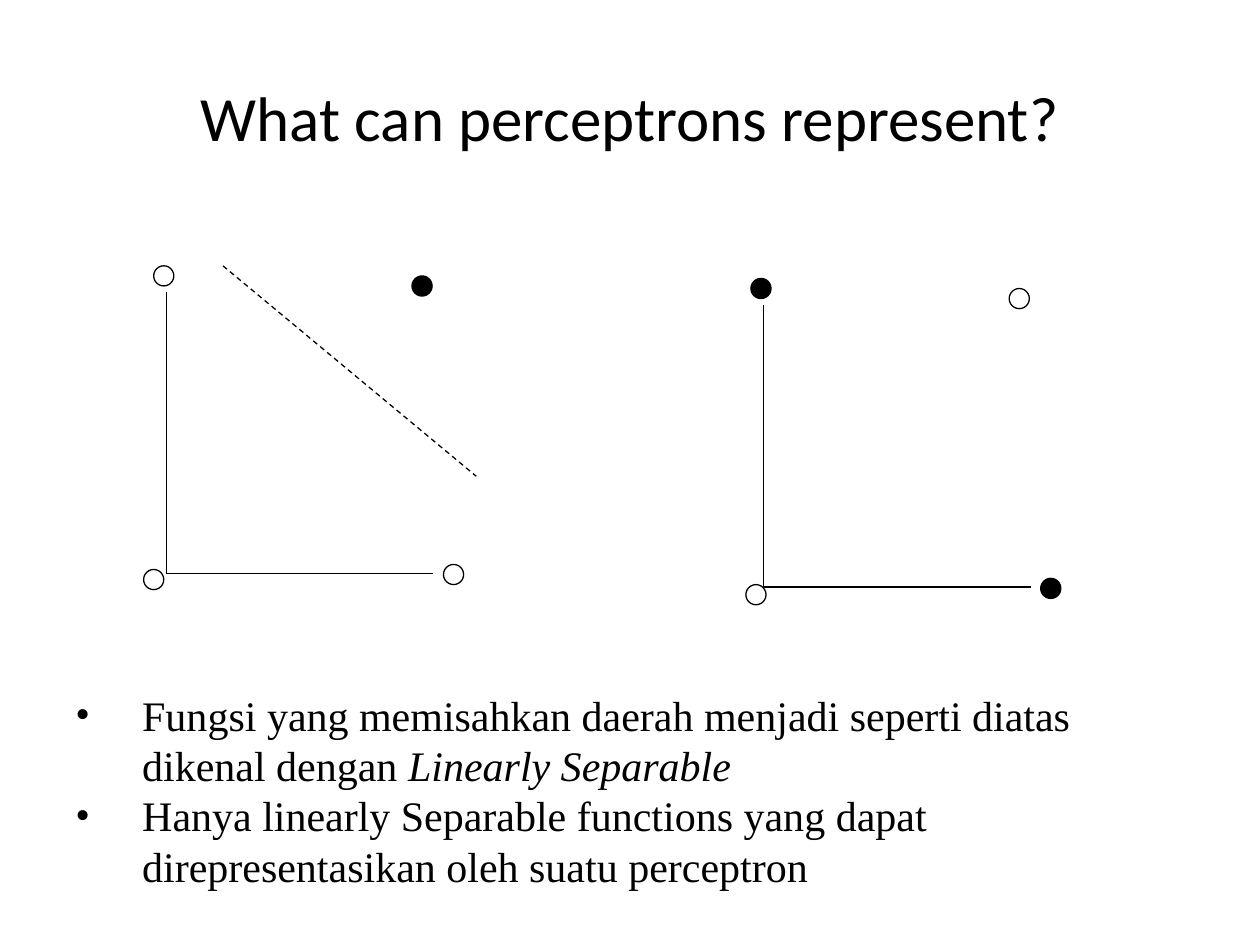
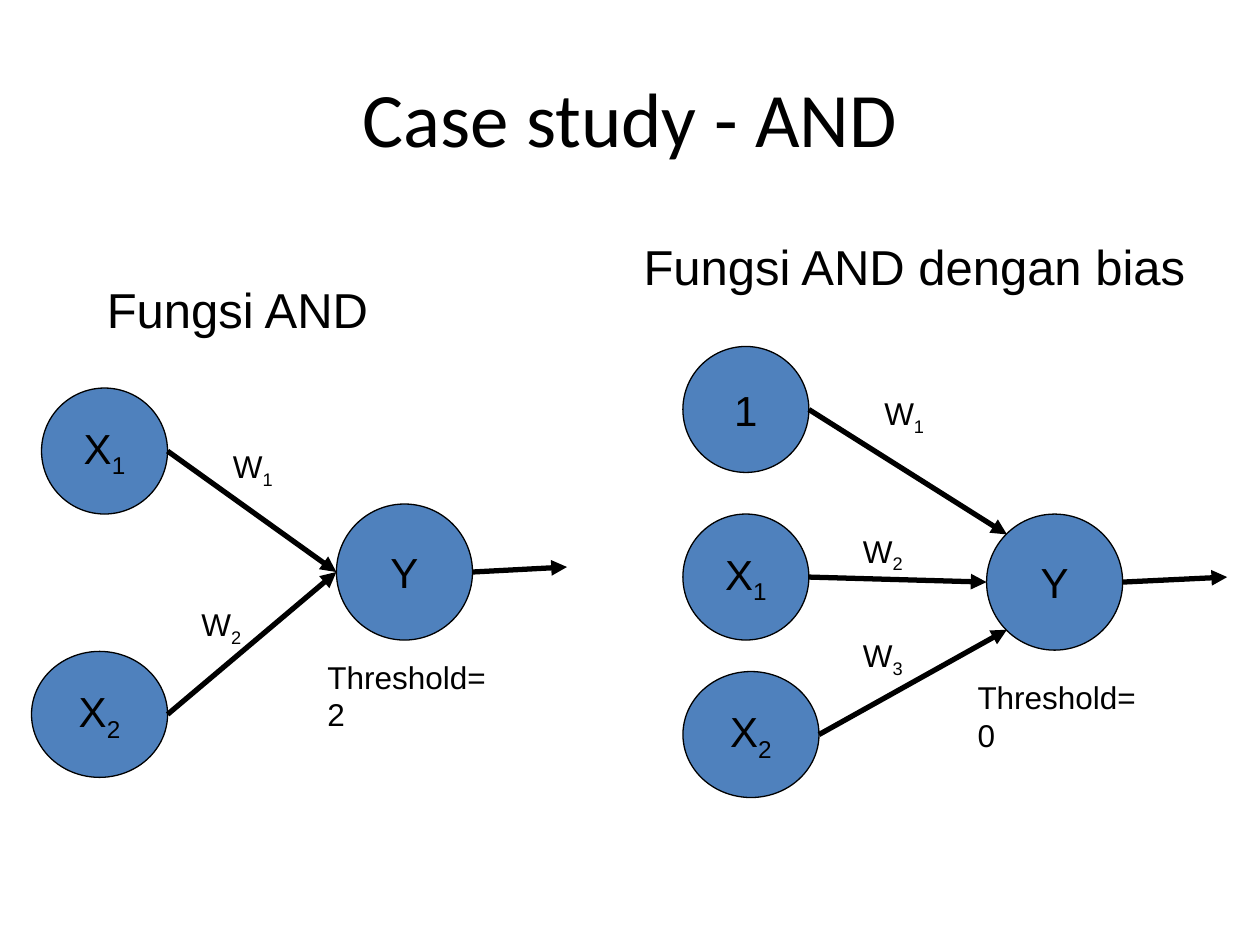
from dataclasses import dataclass

from lxml import etree
from pptx import Presentation
from pptx import util as u
from pptx.dml import color
from pptx.enum import dml, shapes, text
from pptx.oxml import ns

PX = 9144  # one px is a hundredth of an inch


@dataclass(frozen=True)
class Theme:
    ink = color.RGBColor.from_string("000000")
    paper = color.RGBColor.from_string("FFFFFF")
    blue = color.RGBColor.from_string("4F81BD")
    sans = "Arial"
    serif = "Times New Roman"
    head = "Calibri"
    thin = 0.75
    thick = 3
    big = 44
    title = 36
    sub = 28
    body = 24
    note = 18


T = Theme()
MID, HIGH, LOW = (0, 0.5), (0.15, 0.15), (0.15, 0.85)  # entry points on a node


def px(*nums):
    return [u.Emu(round(n * PX)) for n in nums]


def tag(parent, name, **attrs):
    return etree.SubElement(parent, ns.qn(name), **attrs)


def write(par, words, size, font, mark=None):
    """Fill a paragraph; each "_" or "*" switches subscript or italic on and off."""
    for i, part in enumerate(words.split(mark) if mark else [words]):
        if not part:
            continue
        run = par.add_run()
        run.text = part
        run.font.size = u.Pt(size)
        run.font.name = font
        run.font.color.rgb = T.ink
        if i % 2 and mark == "_":
            run.font._element.set("baseline", "-25000")
        elif i % 2:
            run.font.italic = True


def label(slide, box, words, size, font=T.sans, wrap=False):
    frame = slide.shapes.add_textbox(*px(*box)).text_frame
    frame.word_wrap = wrap
    write(frame.paragraphs[0], words, size, font, "_")
    return frame


def title(slide, words, size):
    frame = label(slide, (50, 30, 900, 125), words, size, T.head, True)
    frame.vertical_anchor = text.MSO_ANCHOR.MIDDLE
    frame.paragraphs[0].alignment = text.PP_ALIGN.CENTER


def disc(slide, box, fill):
    shape = slide.shapes.add_shape(shapes.MSO_SHAPE.OVAL, *px(*box))
    shape.shadow.inherit = False
    shape.fill.solid()
    shape.fill.fore_color.rgb = fill
    shape.line.color.rgb = T.ink
    shape.line.width = u.Pt(T.thin)
    return shape


def line(slide, start, end, width=T.thin):
    link = slide.shapes.add_connector(
        shapes.MSO_CONNECTOR.STRAIGHT, *px(*start, *end))
    link.line.color.rgb = T.ink
    link.line.width = u.Pt(width)
    tag(link._element.spPr, "a:effectLst")
    return link


def arrow(slide, start, end):
    link = line(slide, start, end, T.thick)
    tag(link.line._get_or_add_ln(), "a:tailEnd", type="triangle")


def plot(slide, box, zero, fills):
    """Two axes and the four truth-table points; zero places the (0,0) dot."""
    x, y, w, h = box
    line(slide, (x, y), (x, y + h))
    line(slide, (x + w, y + h), (x, y + h))
    spots = [(-10, -21), (w - 17, -13), (w + 8, h - 7), zero]
    for (dx, dy), fill in zip(spots, fills):
        disc(slide, (x + dx, y + dy, 16, 16), fill)


def bullets(slide, box, items):
    frame = slide.shapes.add_textbox(*px(*box)).text_frame
    frame.word_wrap = True
    for i, item in enumerate(items):
        par = frame.add_paragraph() if i else frame.paragraphs[0]
        props = par._p.get_or_add_pPr()
        props.set("marL", str(53 * PX))
        props.set("indent", str(-53 * PX))
        tag(tag(props, "a:buClr"), "a:srgbClr", val=str(T.ink))
        tag(props, "a:buFont", typeface=T.serif)
        tag(props, "a:buChar", char="•")
        write(par, item, T.body, T.serif, "*")


def node(slide, box, words):
    frame = disc(slide, box, T.blue).text_frame
    frame.word_wrap = False
    frame.vertical_anchor = text.MSO_ANCHOR.MIDDLE
    frame.paragraphs[0].alignment = text.PP_ALIGN.CENTER
    write(frame.paragraphs[0], words, T.body, T.sans, "_")


def net(slide, box, head, inputs, out, reach, limit):
    """A perceptron; inputs hold name, place, width, entry, weight and its place."""
    x, y = box
    dx, w, words = head
    label(slide, (x + dx, y, w, 57), words, T.sub)
    size = 108
    ox, oy = x + out[0], y + out[1]
    for name, (nx, ny), wide, (fx, fy), weight, (wx, wy) in inputs:
        node(slide, (x + nx, y + ny, wide, 100), name)
        arrow(slide, (x + nx + wide, y + ny + 50),
              (ox + fx * size, oy + fy * size))
        label(slide, (x + wx, y + wy, 67, 44), weight, T.note, wrap=True)
    node(slide, (ox, oy, size, size), "Y")
    arrow(slide, (ox + size, oy + 54), (ox + size + reach, oy + 50))
    drop, words = limit
    label(slide, (ox - 17, oy + drop, 159, 40), words, T.note)


def limits(slide):
    title(slide, "What can perceptrons represent?", T.title)
    off, on = T.paper, T.ink
    plot(slide, (132, 232, 212, 223), (-18, 220), (off, on, off, off))
    plot(slide, (606, 242, 212, 224), (-14, 222), (on, off, on, off))
    border = line(slide, (177, 211), (378, 378))
    border.line.dash_style = dml.MSO_LINE.DASH
    bullets(slide, (50, 542, 875, 170), [
        "Fungsi yang memisahkan daerah menjadi seperti diatas dikenal dengan "
        "*Linearly Separable*",
        "Hanya linearly Separable functions yang dapat direpresentasikan "
        "oleh suatu perceptron",
    ])


def study(slide):
    title(slide, "Case study - AND", T.big)
    net(slide, (25, 217), (50, 229, "Fungsi AND"), [
        ("X_1", (8, 91), 100, MID, "W_1", (150, 133)),
        ("X_2", (0, 300), 108, MID, "W_2", (125, 258)),
    ], (242, 183), 75, (117, "Threshold=2"))
    net(slide, (501, 183), (0, 451, "Fungsi AND dengan bias"), [
        ("1", (41, 92), 100, HIGH, "W_1", (191, 125)),
        ("X_1", (41, 225), 100, MID, "W_2", (174, 234)),
        ("X_2", (41, 350), 108, LOW, "W_3", (174, 317)),
    ], (282, 225), 83, (125, "Threshold=0"))


def main():
    deck = Presentation()
    deck.slide_width, deck.slide_height = px(1000, 750)
    for build in (limits, study):
        build(deck.slides.add_slide(deck.slide_layouts[6]))
    deck.save("out.pptx")


if __name__ == "__main__":
    main()
